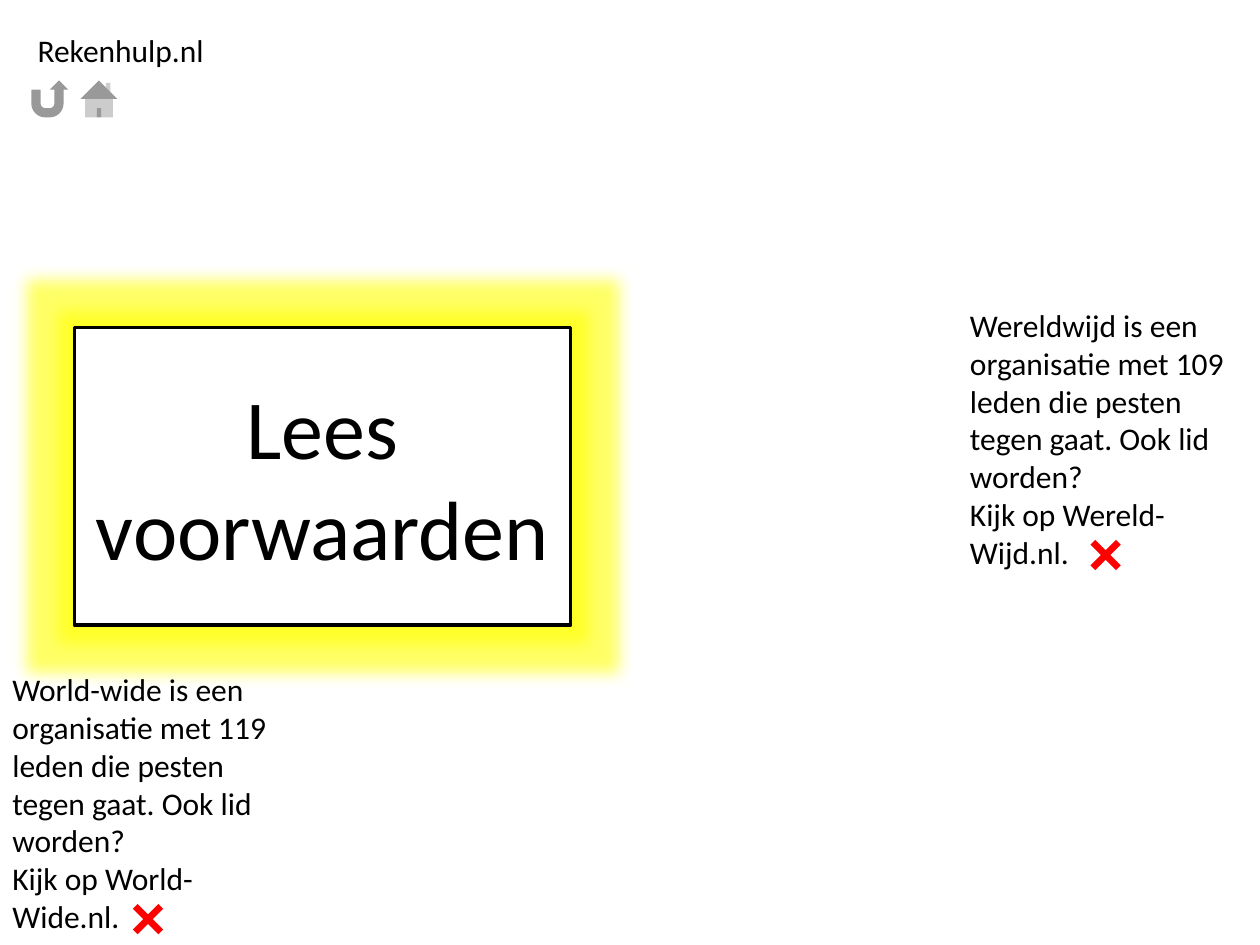
from dataclasses import dataclass

from lxml.etree import SubElement
from pptx import Presentation
from pptx.dml.color import RGBColor
from pptx.enum.shapes import MSO_SHAPE
from pptx.enum.text import MSO_ANCHOR, MSO_AUTO_SIZE, PP_ALIGN
from pptx.oxml.ns import qn
from pptx.util import Inches, Pt

COLORS = {"white": "FFFFFF", "black": "000000", "red": "FF0000", "glow": "FFFF00"}
FONT = "Calibri"
ICON = 0.39


@dataclass
class Box:
    left: float
    top: float
    width: float = ICON
    height: float = ICON

    def lengths(self) -> list:
        return [Inches(v) for v in (self.left, self.top, self.width, self.height)]


@dataclass
class Advert:
    box: Box
    lines: tuple
    cross: Box


ADVERTS = (
    Advert(
        Box(7.6, 2.38, 2.36, 2.22),
        ("Wereldwijd is een organisatie met 109 leden die pesten tegen gaat. "
         "Ook lid worden?", "Kijk op Wereld-Wijd.nl."),
        Box(8.58, 4.21),
    ),
    Advert(
        Box(0, 5.27, 2.36, 2.22),
        ("World-wide is een organisatie met 119 leden die pesten tegen gaat. "
         "Ook lid worden?", "Kijk op World-Wide.nl."),
        Box(0.98, 7.1),
    ),
)


def color(name: str) -> RGBColor:
    return RGBColor.from_string(COLORS[name])


def write(frame, *lines: str, size=18, align=PP_ALIGN.LEFT, anchor=MSO_ANCHOR.TOP):
    frame.word_wrap = True
    frame.vertical_anchor = anchor
    for i, line in enumerate(lines):
        para = frame.add_paragraph() if i else frame.paragraphs[0]
        para.alignment = align
        run = para.add_run()
        run.text = line
        run.font.name = FONT
        run.font.size = Pt(size)
        run.font.color.rgb = color("black")


def draw(slide, kind: MSO_SHAPE, box: Box, fill="white"):
    shape = slide.shapes.add_shape(kind, *box.lengths())
    shape.shadow.inherit = False
    shape.fill.solid()
    shape.fill.fore_color.rgb = color(fill)
    shape.line.fill.background()
    return shape


def add_glow(shape, name: str, radius: float, alpha: int):
    """Put a soft halo around the shape; alpha is in percent."""
    effects = shape.element.spPr.find(qn("a:effectLst"))
    glow = SubElement(effects, qn("a:glow"), rad=str(Pt(radius)))
    tint = SubElement(glow, qn("a:srgbClr"), val=COLORS[name])
    SubElement(tint, qn("a:alpha"), val=str(alpha * 1000))


def add_advert(slide, advert: Advert):
    """Place the advert text with its red closing cross."""
    frame = slide.shapes.add_textbox(*advert.box.lengths()).text_frame
    write(frame, *advert.lines)
    frame.auto_size = MSO_AUTO_SIZE.SHAPE_TO_FIT_TEXT
    cross = draw(slide, MSO_SHAPE.MATH_MULTIPLY, advert.cross, fill="red")
    cross.adjustments[0] = 0.136


def main():
    deck = Presentation()
    deck.slide_width, deck.slide_height = Inches(10), Inches(7.5)
    slide = deck.slides.add_slide(deck.slide_layouts[6])

    bar = draw(slide, MSO_SHAPE.RECTANGLE, Box(0.2, 0.2, 9.57))
    write(bar.text_frame, "Rekenhulp.nl", anchor=MSO_ANCHOR.MIDDLE)

    icons = (MSO_SHAPE.ACTION_BUTTON_RETURN, MSO_SHAPE.ACTION_BUTTON_HOME)
    for i, kind in enumerate(icons):
        draw(slide, kind, Box(0.2 + i * ICON, 0.59))

    button = draw(slide, MSO_SHAPE.RECTANGLE, Box(0.59, 2.6, 3.94, 2.36))
    button.line.color.rgb = color("black")
    button.line.width = Pt(2)
    add_glow(button, "glow", radius=18, alpha=60)
    write(button.text_frame, "Lees voorwaarden", size=48,
          align=PP_ALIGN.CENTER, anchor=MSO_ANCHOR.MIDDLE)

    for advert in ADVERTS:
        add_advert(slide, advert)

    deck.save("out.pptx")


if __name__ == "__main__":
    main()
